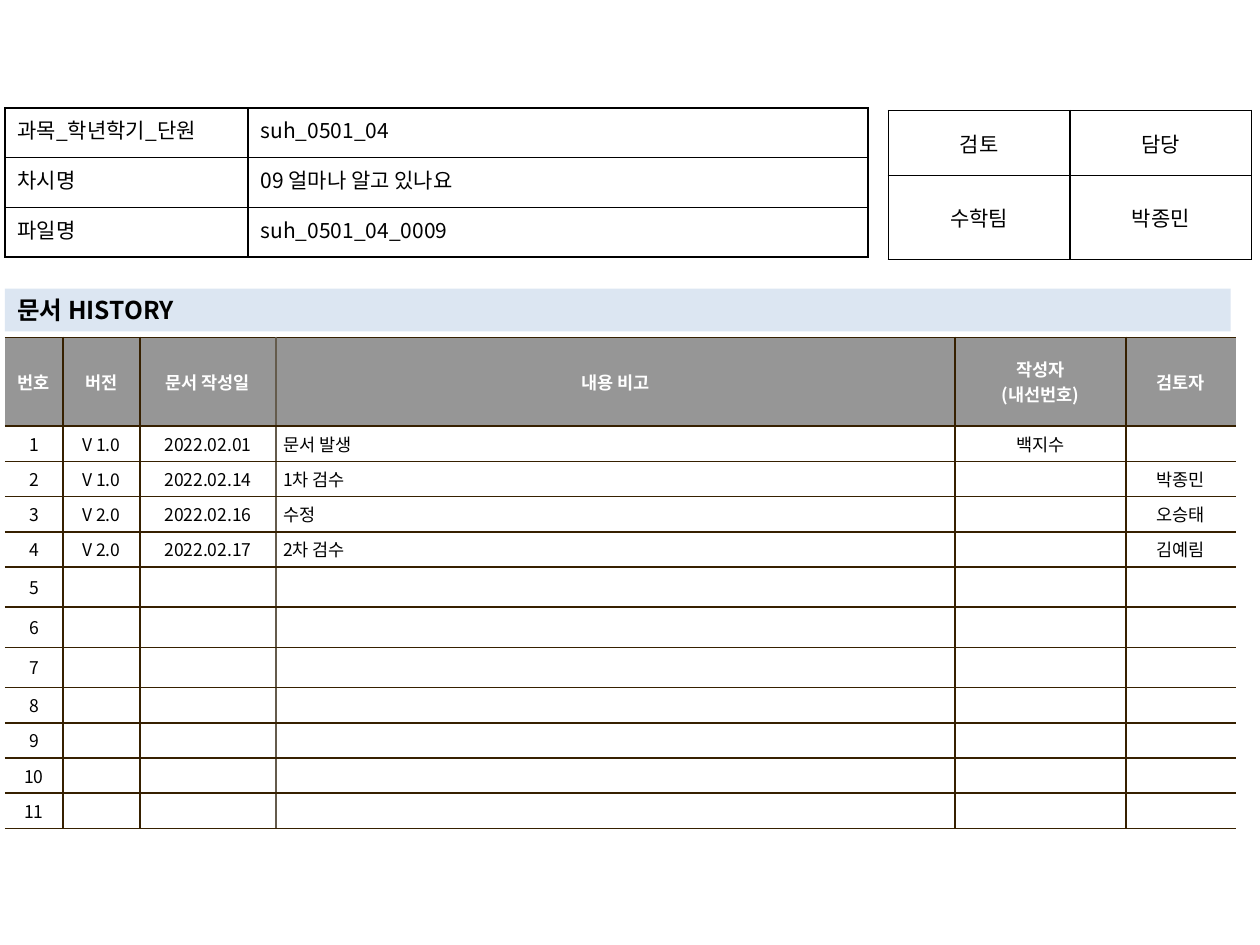
import dataclasses

import lxml.etree
import pptx
import pptx.dml.color
import pptx.enum.text
import pptx.oxml.ns
import pptx.util

Cm = pptx.util.Cm
Pt = pptx.util.Pt
qn = pptx.oxml.ns.qn
ALIGN = pptx.enum.text.PP_ALIGN
ANCHOR = pptx.enum.text.MSO_ANCHOR


@dataclasses.dataclass(frozen=True)
class Theme:
    font: str = "Noto Sans CJK KR"
    ink: str = "000000"
    paper: str = "FFFFFF"
    band: str = "DCE6F2"
    header: str = "969696"
    history_rule: str = "362000"
    note_rule: str = "645B4C"
    rule_width: float = 1
    heading_size: int = 14
    info_size: int = 12
    history_size: int = 10


THEME = Theme()

LESSON = [
    ["과목_학년학기_단원", "suh_0501_04"],
    ["차시명", "09 얼마나 알고 있나요"],
    ["파일명", "suh_0501_04_0009"],
]
APPROVAL = [["검토", "담당"], ["수학팀", "박종민"]]
HISTORY_HEADER = ["번호", "버전", "문서 작성일", "내용 비고", "작성자\n(내선번호)", "검토자"]
REVISIONS = [
    ["V 1.0", "2022.02.01", "문서 발생", "백지수", ""],
    ["V 1.0", "2022.02.14", "1차 검수", "", "박종민"],
    ["V 2.0", "2022.02.16", "수정", "", "오승태"],
    ["V 2.0", "2022.02.17", "2차 검수", "", "김예림"],
]
REVISION_SLOTS = 11
NOTE_COLUMN = 3


def rgb(value):
    return pptx.dml.color.RGBColor.from_string(value)


def format_text(frame, size, color, align, bold=False):
    for paragraph in frame.paragraphs:
        paragraph.alignment = align
        for run in paragraph.runs:
            font = run.font
            font.size, font.bold, font.name = Pt(size), bold, THEME.font
            font.color.rgb = rgb(color)
            east_asian = lxml.etree.SubElement(run._r.get_or_add_rPr(), qn("a:ea"))
            east_asian.set("typeface", THEME.font)
        if not paragraph.runs:
            # An empty cell keeps its row low only at the small type size
            ending = lxml.etree.SubElement(paragraph._p, qn("a:endParaRPr"))
            ending.set("sz", str(size * 100))


def set_borders(cell, left, right, top, bottom):
    """Draw the four sides in the given colours; None leaves a side open."""
    properties = cell._tc.get_or_add_tcPr()
    sides = zip(("a:lnL", "a:lnR", "a:lnT", "a:lnB"), (left, right, top, bottom))
    for position, (tag, color) in enumerate(sides):
        line = lxml.etree.Element(qn(tag), w=str(Pt(THEME.rule_width)))
        if color:
            fill = lxml.etree.SubElement(line, qn("a:solidFill"))
            lxml.etree.SubElement(fill, qn("a:srgbClr"), val=color)
        else:
            lxml.etree.SubElement(line, qn("a:noFill"))
        properties.insert(position, line)


def add_grid(slide, left, top, widths, heights, texts):
    """Place an unstyled table and yield its cells with row and column."""
    frame = slide.shapes.add_table(
        len(heights), len(widths), Cm(left), Cm(top), Cm(sum(widths)), Cm(sum(heights)))
    table = frame.table
    table.first_row = table.horz_banding = False
    for column, width in zip(table.columns, widths):
        column.width = Cm(width)
    for row, height in zip(table.rows, heights):
        row.height = Cm(height)
    for r, row_texts in enumerate(texts):
        for c, text in enumerate(row_texts):
            cell = table.cell(r, c)
            cell.text_frame.text = text
            yield r, c, cell


def add_info_table(slide, left, top, widths, heights, texts, aligns, anchor):
    for _, c, cell in add_grid(slide, left, top, widths, heights, texts):
        cell.fill.background()
        cell.vertical_anchor = anchor
        format_text(cell.text_frame, THEME.info_size, THEME.ink, aligns[c])
        set_borders(cell, *[THEME.ink] * 4)


def add_heading(slide, left, top, width, height):
    heading = slide.shapes.title
    heading.left, heading.top = Cm(left), Cm(top)
    heading.width, heading.height = Cm(width), Cm(height)
    heading.fill.solid()
    heading.fill.fore_color.rgb = rgb(THEME.band)
    frame = heading.text_frame
    frame.text = "문서 HISTORY"
    frame.auto_size = pptx.enum.text.MSO_AUTO_SIZE.NONE
    frame.vertical_anchor = ANCHOR.MIDDLE
    frame.margin_left = frame.margin_right = Cm(0.25)
    frame.margin_top = frame.margin_bottom = Cm(0)
    format_text(frame, THEME.heading_size, THEME.ink, ALIGN.LEFT, bold=True)


def add_history(slide, left, top):
    widths = [1.17, 1.55, 2.74, 13.69, 3.45, 2.21]
    heights = [1.79] + [0.71] * 4 + [0.81] * 3 + [0.71] * 4
    blanks = [[""] * 5] * (REVISION_SLOTS - len(REVISIONS))
    numbered = [[str(n), *entry] for n, entry in enumerate(REVISIONS + blanks, 1)]
    # Column rules: open at both ends, softer before the notes
    rules = [THEME.history_rule] * (len(widths) + 1)
    rules[0] = rules[-1] = None
    rules[NOTE_COLUMN] = THEME.note_rule

    for r, c, cell in add_grid(slide, left, top, widths, heights, [HISTORY_HEADER] + numbered):
        is_header = r == 0
        is_note = c == NOTE_COLUMN and not is_header
        cell.fill.solid()
        cell.fill.fore_color.rgb = rgb(THEME.header if is_header else THEME.paper)
        cell.vertical_anchor = ANCHOR.MIDDLE
        cell.margin_left = cell.margin_right = Cm(0.15)
        cell.margin_top = cell.margin_bottom = Cm(0.1)
        format_text(cell.text_frame, THEME.history_size,
                    THEME.paper if is_header else THEME.ink,
                    ALIGN.LEFT if is_note else ALIGN.CENTER, bold=is_header)
        if is_note:
            hanging = cell.text_frame.paragraphs[0]._p.get_or_add_pPr()
            hanging.set("marL", str(Cm(0.48)))
            hanging.set("indent", str(-Cm(0.48)))
        set_borders(cell, rules[c], rules[c + 1], THEME.history_rule, THEME.history_rule)


def main():
    deck = pptx.Presentation()
    deck.slide_width, deck.slide_height = Cm(25.4), Cm(19.05)
    slide = deck.slides.add_slide(deck.slide_layouts[5])

    # Revision history under its heading
    add_heading(slide, 0.1, 5.82, 24.71, 0.86)
    add_history(slide, 0.1, 6.8)

    # Sign-off and lesson details across the top
    add_info_table(slide, 17.91, 2.23, [3.66, 3.66], [1.31, 1.69], APPROVAL,
                   [ALIGN.CENTER] * 2, ANCHOR.MIDDLE)
    add_info_table(slide, 0.1, 2.18, [4.9, 12.5], [1] * 3, LESSON,
                   [ALIGN.JUSTIFY, ALIGN.LEFT], ANCHOR.TOP)

    deck.save("out.pptx")


if __name__ == "__main__":
    main()
